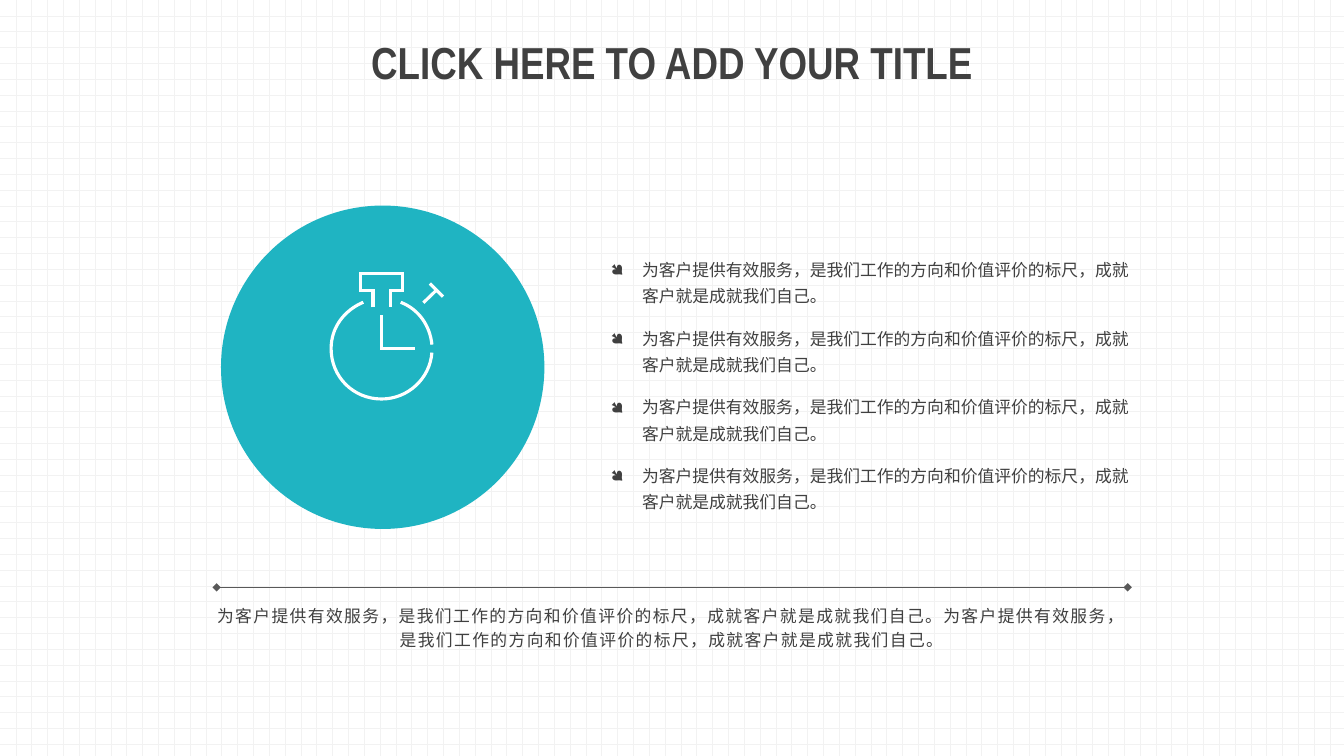
from pptx import Presentation
from pptx.dml.color import RGBColor
from pptx.enum.dml import MSO_PATTERN
from pptx.enum.shapes import MSO_CONNECTOR as CONNECTOR, MSO_SHAPE as SHAPE
from pptx.enum.text import MSO_ANCHOR as ANCHOR, MSO_AUTO_SIZE as AUTO_SIZE, PP_ALIGN as ALIGN
from pptx.oxml.ns import qn
from pptx.util import Cm, Pt

TEXT, TEAL, RULE, WHITE, GRID = "404040", "1FB4C2", "595959", "FFFFFF", "F2F2F2"
SENTENCE = "为客户提供有效服务，是我们工作的方向和价值评价的标尺，成就客户就是成就我们自己。"


def colour(value):
    """Turn a hex string into a colour."""
    return RGBColor.from_string(value)


def append_child(parent, tag, **attributes):
    """Append a drawing element to its parent."""
    parent.append(parent.makeelement(qn(tag), attributes))


def add_run(paragraph, text, font, size, bold=False):
    """Add one formatted run to a paragraph and return it."""
    run = paragraph.add_run()
    run.text = text
    run.font.name, run.font.size, run.font.bold = font, Pt(size), bold
    run.font.color.rgb = colour(TEXT)
    return run


def add_paragraph_box(slide, left, top, width, height, line_spacing):
    """Add a wrapping text box and return its first paragraph."""
    frame = slide.shapes.add_textbox(Cm(left), Cm(top), Cm(width), Cm(height)).text_frame
    frame.word_wrap = True
    frame.auto_size = AUTO_SIZE.SHAPE_TO_FIT_TEXT
    paragraph = frame.paragraphs[0]
    paragraph.line_spacing = line_spacing
    return paragraph


def add_line(shapes, start, end, hex_colour, weight):
    """Draw a straight line between two points in centimetres."""
    line = shapes.add_connector(CONNECTOR.STRAIGHT, *map(Cm, start + end))
    line.line.color.rgb = colour(hex_colour)
    line.line.width = Pt(weight)
    append_child(line._element.spPr, "a:effectLst")
    return line


def add_stroke(shapes, points):
    """Draw an open white outline through points in centimetres."""
    start, *others = [(Cm(x), Cm(y)) for x, y in points]
    builder = shapes.build_freeform(*start)
    builder.add_line_segments(others, close=False)
    stroke = builder.convert_to_shape()
    stroke.shadow.inherit = False
    stroke.fill.background()
    stroke.line.color.rgb = colour(WHITE)
    stroke.line.width = Pt(2.25)
    append_child(stroke.get_or_add_ln(), "a:miter", lim="800000")
    return stroke


def add_curve(shapes, points):
    """Draw an outline whose points after the first form Bézier triples."""
    outline = add_stroke(shapes, points)._element.find(".//" + qn("a:path"))
    segments = outline.findall(qn("a:lnTo"))
    for index in range(0, len(segments), 3):
        append_child(outline, "a:cubicBezTo")
        for segment in segments[index:index + 3]:
            outline[-1].append(segment[0])
            outline.remove(segment)


def add_title(slide, left, top, width, height):
    """Place and format the title placeholder."""
    title = slide.shapes.title
    title.left, title.top, title.width, title.height = map(Cm, (left, top, width, height))
    frame = title.text_frame
    frame.auto_size = AUTO_SIZE.NONE
    frame.vertical_anchor = ANCHOR.MIDDLE
    heading = frame.paragraphs[0]
    heading.alignment, heading.line_spacing = ALIGN.CENTER, 0.9
    add_run(heading, "CLICK HERE TO ADD YOUR TITLE", "Arial Narrow", 32, True)


def add_stopwatch(slide, centre_x, centre_y, radius):
    """Draw the stopwatch around the centre of its dial."""
    icon = slide.shapes.add_group_shape().shapes

    def place(*points):
        return [(centre_x + x * radius, centre_y + y * radius) for x, y in points]

    add_curve(icon, place((-0.36, -0.92), (-0.74, -0.76), (-1, -0.42), (-1, 0), (-1, 0.56),
                          (-0.56, 1), (0, 1), (0.52, 1), (0.96, 0.6), (1, 0.08)))
    add_curve(icon, place((0.38, -0.92), (0.74, -0.78), (0.96, -0.46), (1, -0.08)))
    half_crown = [(0.17, -0.82), (0.17, -1.15), (0.42, -1.15), (0.42, -1.49)]
    add_stroke(icon, place(*[(-x, y) for x, y in half_crown], *half_crown[::-1]))
    add_line(icon, *place((0.83, -0.91), (1.09, -1.16)), WHITE, 2.25)
    add_line(icon, *place((1.22, -1.03), (0.96, -1.29)), WHITE, 2.25)
    add_stroke(icon, place((0, -0.66), (0, 0), (0.67, 0)))


def add_badge(slide, left, top, diameter):
    """Draw the teal disc with its stopwatch."""
    disc = slide.shapes.add_shape(SHAPE.OVAL, Cm(left), Cm(top), Cm(diameter), Cm(diameter))
    disc.shadow.inherit = False
    disc.fill.solid()
    disc.fill.fore_color.rgb = colour(TEAL)
    disc.line.fill.background()
    add_stopwatch(slide, left + diameter / 2 - 0.03, top + diameter / 2 - 0.47, 1.27)


def add_points(slide, left, top, width, pitch, count):
    """Stack the bulleted points at an equal pitch."""
    for index in range(count):
        point = add_paragraph_box(slide, left, top + index * pitch, width, 1.52, 1.3)
        properties = point._p.get_or_add_pPr()
        properties.set("marL", str(Cm(0.79)))
        properties.set("indent", str(-Cm(0.79)))
        append_child(properties, "a:buFont", typeface="Wingdings", charset="2")
        append_child(properties, "a:buChar", char="●")
        add_run(point, SENTENCE, "Lato", 12)


def add_summary(slide, left, top, width):
    """Draw the diamond-ended rule with the centred summary below."""
    rule = add_line(slide.shapes, (left + 0.38, top), (left + 23.34, top), RULE, 1)
    for end in ("a:headEnd", "a:tailEnd"):
        append_child(rule.get_or_add_ln(), end, type="diamond")
    summary = add_paragraph_box(slide, left, top + 0.24, width, 1.5, 1.2)
    summary.alignment = ALIGN.CENTER
    run = add_run(summary, SENTENCE * 2, "Lato", 12)
    run._r.get_or_add_rPr().set("spc", "100")


def main():
    """Build the slide and save it."""
    deck = Presentation()
    deck.slide_width, deck.slide_height = Cm(33.87), Cm(19.05)
    slide = deck.slides.add_slide(deck.slide_layouts[5])
    backdrop = slide.background.fill
    backdrop.patterned()
    backdrop.pattern = MSO_PATTERN.DOTTED_GRID
    backdrop.fore_color.rgb = colour(GRID)
    backdrop.back_color.rgb = colour(WHITE)
    add_title(slide, 8.66, 0.91, 16.56, 1.47)
    add_badge(slide, 5.57, 5.18, 8.15)
    add_points(slide, 15.14, 6.27, 13.74, 1.73, 4)
    add_summary(slide, 5.08, 14.8, 23.7)
    deck.save("out.pptx")


if __name__ == "__main__":
    main()
